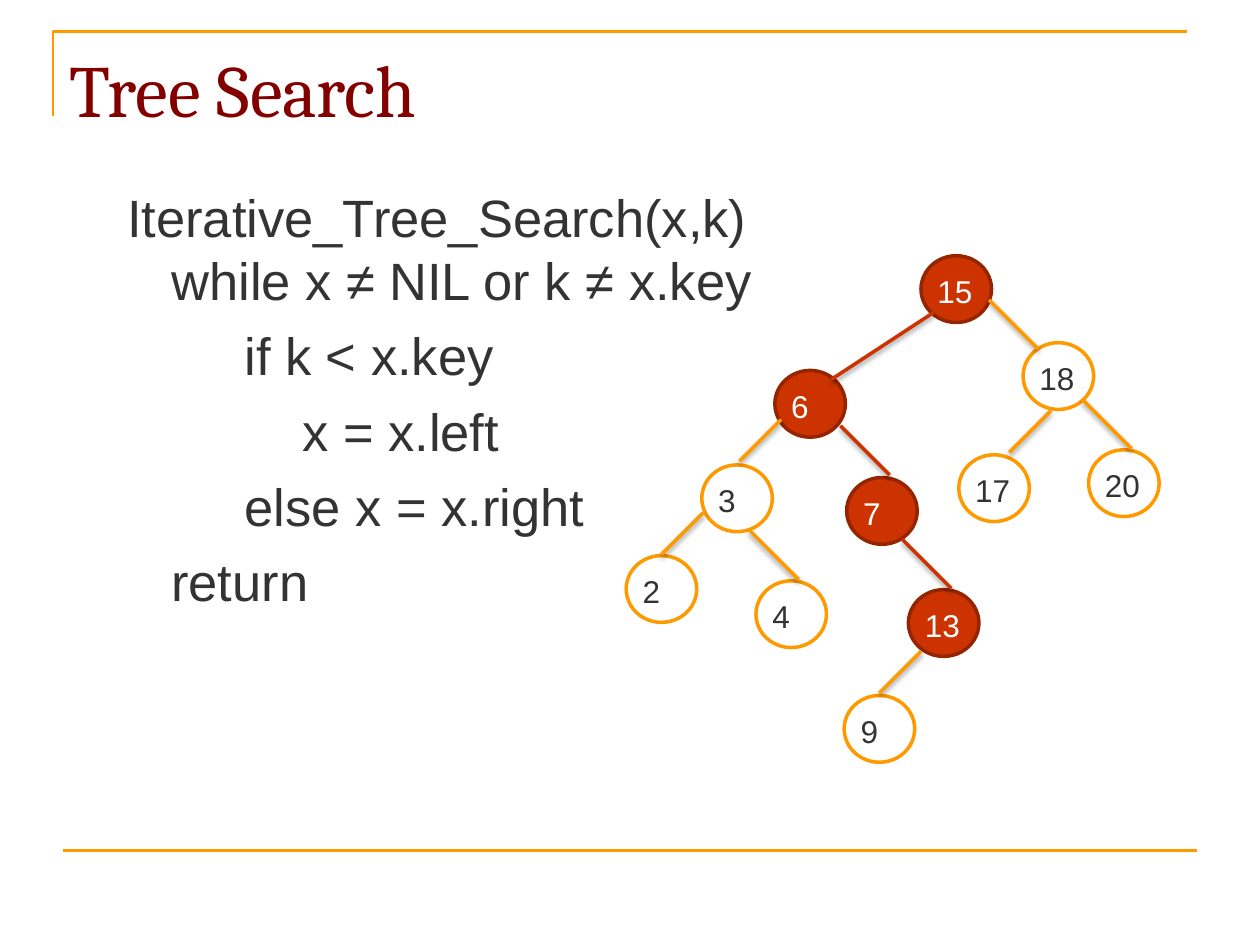
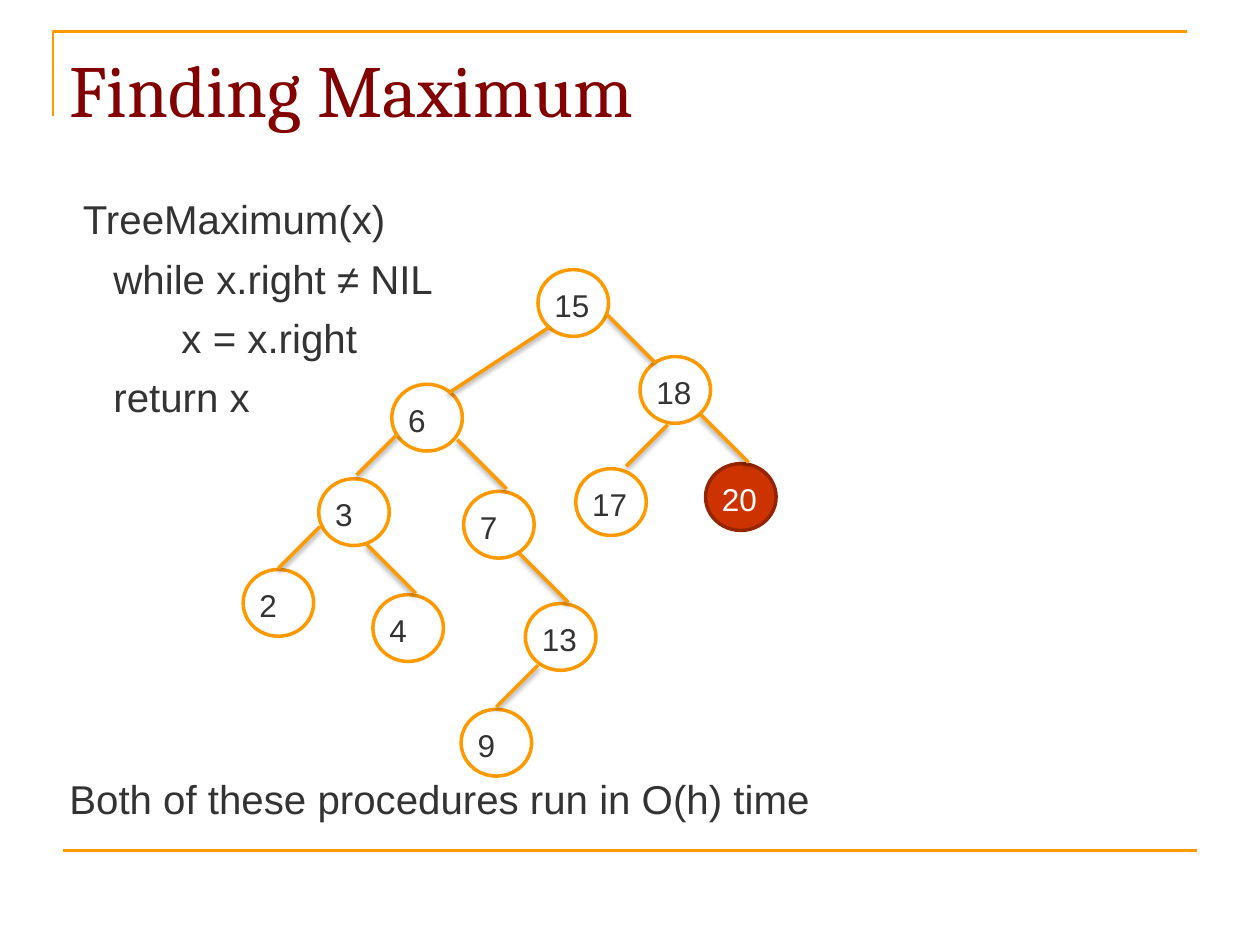
from lxml.etree import SubElement
from pptx import Presentation
from pptx.dml.color import RGBColor
from pptx.enum.shapes import MSO_CONNECTOR, MSO_SHAPE
from pptx.enum.text import MSO_ANCHOR, MSO_AUTO_SIZE, PP_ALIGN
from pptx.oxml.ns import qn
from pptx.util import Inches, Pt

COLORS = {
    "title": "820000", "text": "333333", "orange": "FF9900", "red": "CC3300",
    "dark_red": "952500", "white": "FFFFFF", "shadow": "000000",
}
TITLE_BOX = (0.5, 0.3, 9, 1.03)
BODY_BOX = (0.5, 1.42, 9, 5.2)

RIGHT = (-0.39, -0.39)
LEFT = (0.33, -0.33)
# key: parent, offset from root, edge start on the node, edge run to the parent
NODES = {
    15: (None, (0, 0), None, None),
    6: (15, (-1.16, 0.91), (0.45, 0.07), (0.81, -0.53)),
    18: (15, (0.81, 0.69), (0.12, 0.05), RIGHT),
    3: (6, (-1.74, 1.66), (0.3, -0.03), LEFT),
    7: (6, (-0.59, 1.76), (0.34, -0.02), RIGHT),
    17: (18, (0.3, 1.58), (0.4, -0.02), LEFT),
    20: (18, (1.33, 1.54), (0.34, -0.01), RIGHT),
    2: (3, (-2.34, 2.38), (0.28, -0.01), LEFT),
    4: (3, (-1.31, 2.58), (0.34, -0.01), RIGHT),
    13: (7, (-0.1, 2.65), (0.34, -0.01), RIGHT),
    9: (13, (-0.61, 3.49), (0.28, -0.02), LEFT),
}


def rgb(name):
    return RGBColor.from_string(COLORS[name])


def set_attrs(obj, **values):
    for name, value in values.items():
        setattr(obj, name, value)


def set_frame(tf, **values):
    margins = {f"margin_{side}": Inches(0.05) for side in ("left", "top", "right", "bottom")}
    set_attrs(tf, word_wrap=True, vertical_anchor=MSO_ANCHOR.TOP, **margins, **values)


def add_run(p, text, size, color="text", font="Arial"):
    r = p.add_run()
    r.text = text
    set_attrs(r.font, name=font, size=Pt(size))
    r.font.color.rgb = rgb(color)


def place(sp, box):
    set_attrs(sp, **dict(zip(("left", "top", "width", "height"), map(Inches, box))))


def style_line(sp, color, width):
    sp.line.color.rgb = rgb(color)
    sp.line.width = Pt(width)


def add_line(slide, start, end, color, width, shadow=False):
    sp = slide.shapes.add_connector(MSO_CONNECTOR.STRAIGHT, *map(Inches, start + end))
    style_line(sp, color, width)
    effects = SubElement(sp._element.spPr, qn("a:effectLst"))
    if shadow:
        shade = SubElement(effects, qn("a:outerShdw"), blurRad=str(Pt(3)), dist=str(Pt(1.6)),
                           dir="5400000", rotWithShape="0")
        clr = SubElement(shade, qn("a:srgbClr"), val=COLORS["shadow"])
        SubElement(clr, qn("a:alpha"), val="38000")


def add_slide(prs, title):
    slide = prs.slides.add_slide(prs.slide_layouts[1])
    fb = slide.shapes.build_freeform(Inches(0.42), Inches(0.92), scale=1.0)
    fb.add_line_segments([(Inches(0.42), Inches(0.25)), (Inches(9.42), Inches(0.25))], close=False)
    sp = fb.convert_to_shape()
    sp.fill.background()
    sp.shadow.inherit = False
    style_line(sp, "orange", 1.5)
    add_line(slide, (0.5, 6.75), (9.5, 6.75), "orange", 1.5)
    sp = slide.shapes.title
    place(sp, TITLE_BOX)
    set_frame(sp.text_frame, auto_size=MSO_AUTO_SIZE.NONE)
    p = sp.text_frame.paragraphs[0]
    p.alignment = PP_ALIGN.LEFT
    add_run(p, title, 42, "title", "Cambria")
    return slide


def add_body(slide, lines):
    sp = slide.placeholders[1]
    place(sp, BODY_BOX)
    tf = sp.text_frame
    set_frame(tf, auto_size=MSO_AUTO_SIZE.NONE)
    for i, (indent, before, runs) in enumerate(lines):
        p = tf.add_paragraph() if i else tf.paragraphs[0]
        p.space_before = Pt(before)
        pPr = p._p.get_or_add_pPr()
        pPr.set("marL", str(Inches(indent)))
        pPr.set("indent", "0")
        SubElement(pPr, qn("a:buNone"))
        for text, size in runs:
            add_run(p, text, size)


def add_node(slide, key, x, y, marked):
    group = slide.shapes.add_group_shape()
    sp = group.shapes.add_shape(MSO_SHAPE.OVAL, *map(Inches, (x, y, 0.56, 0.53)))
    sp.shadow.inherit = False
    sp.fill.solid()
    sp.fill.fore_color.rgb = rgb("red" if marked else "white")
    style_line(sp, "dark_red" if marked else "orange", 2)
    sp = group.shapes.add_textbox(*map(Inches, (x + 0.08, y + 0.08, 0.4, 0.38)))
    set_frame(sp.text_frame, auto_size=MSO_AUTO_SIZE.SHAPE_TO_FIT_TEXT)
    add_run(sp.text_frame.paragraphs[0], str(key), 18, "white" if marked else "text")


def add_tree(slide, left, top, marked):
    for key, (parent, (dx, dy), start, run) in NODES.items():
        x, y = left + dx, top + dy
        add_node(slide, key, x, y, key in marked)
        if parent:
            x, y = x + start[0], y + start[1]
            color = "red" if {key, parent} <= marked else "orange"
            add_line(slide, (x, y), (x + run[0], y + run[1]), color, 2, shadow=True)


def main():
    prs = Presentation()
    set_attrs(prs, slide_width=Inches(10), slide_height=Inches(7.5))

    slide = add_slide(prs, "Tree Search")
    add_body(slide, [
        (0.46, 7, [("Iterative_Tree_Search(x,k)", 30)]),
        (0.81, 0, [("while x ≠ NIL or k ≠ x.key", 30)]),
        (1.39, 7, [("if k < x.key", 30)]),
        (1.85, 7, [("x = x.left", 30)]),
        (1.39, 7, [("else x = x.right", 30)]),
        (0.81, 7, [("return", 30)]),
    ])
    add_tree(slide, 7.31, 2.03, {15, 6, 7, 13})

    slide = add_slide(prs, "Finding Maximum")
    add_body(slide, [
        (0, 6, [(" ", 28), ("TreeMaximum(x)", 23)]),
        (0.35, 6, [("while x.right ≠ NIL", 23)]),
        (0.89, 6, [("x = x.right", 23)]),
        (0.35, 6, [("return x", 23)]),
        (0, 202, [("Both of these procedures run in O(h) time", 23)]),
    ])
    add_tree(slide, 4.27, 2.14, {20})

    prs.save("out.pptx")


main()
